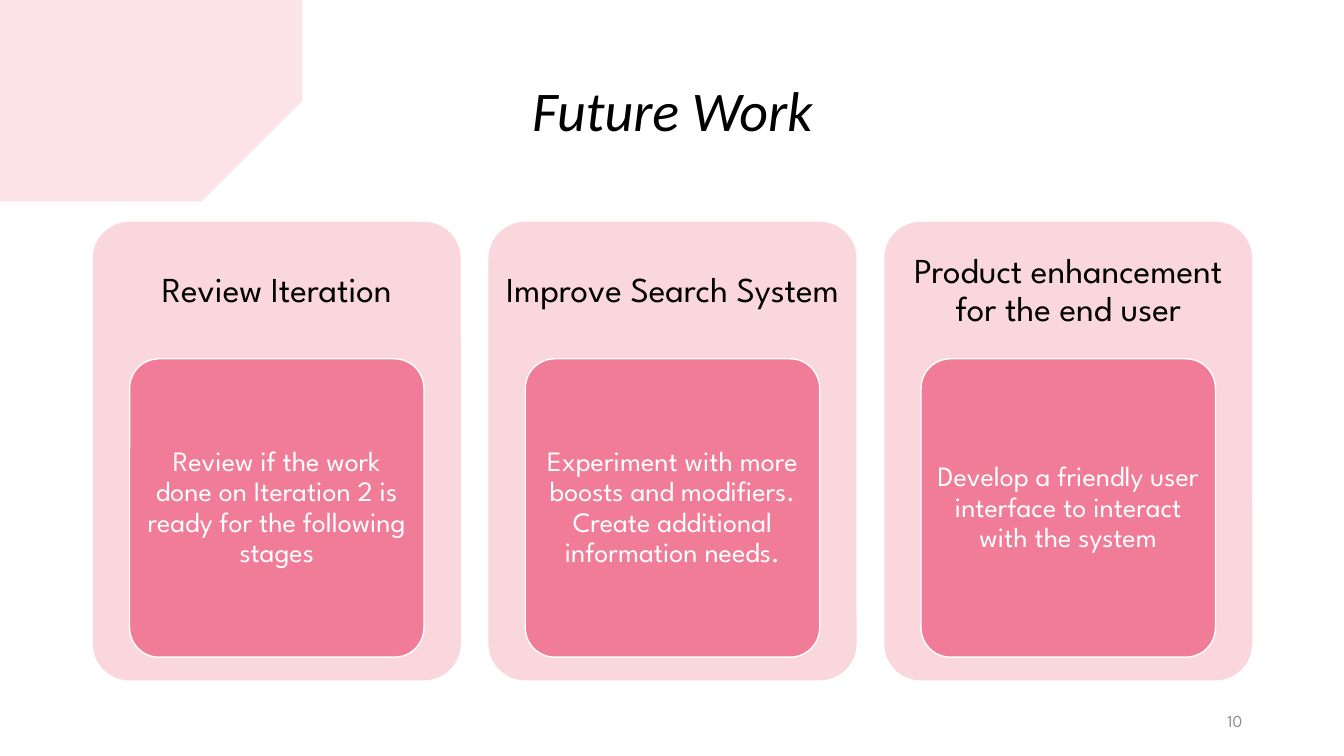
from lxml.etree import SubElement
from pptx import Presentation
from pptx.dml.color import RGBColor
from pptx.enum.shapes import MSO_SHAPE
from pptx.enum.text import MSO_ANCHOR, PP_ALIGN
from pptx.oxml.ns import qn
from pptx.util import Inches, Pt

ROSE = RGBColor(0xF0, 0x7C, 0x98)
BLUSH = RGBColor(0xF9, 0xD7, 0xDD)
WHITE = RGBColor(0xFF, 0xFF, 0xFF)
BLACK = RGBColor(0x00, 0x00, 0x00)
GREY = RGBColor(0x8C, 0x8C, 0x8C)
BODY_FONT = "League Spartan"


def write(shape, text, size, color, font=BODY_FONT, align=PP_ALIGN.CENTER,
          margins=(0.1, 0.05, 0.1, 0.05), spacing=0.9):
    frame = shape.text_frame
    frame.word_wrap = True
    frame.vertical_anchor = MSO_ANCHOR.MIDDLE
    (frame.margin_left, frame.margin_top,
     frame.margin_right, frame.margin_bottom) = map(Inches, margins)
    paragraph = frame.paragraphs[0]
    paragraph.text = text
    paragraph.alignment = align
    paragraph.line_spacing = spacing
    paragraph.font.name = font
    paragraph.font.size = Pt(size)
    paragraph.font.color.rgb = color
    return paragraph


def add_rounded(left, top, width, height, color):
    box = slide.shapes.add_shape(MSO_SHAPE.ROUNDED_RECTANGLE, Inches(left),
                                 Inches(top), Inches(width), Inches(height))
    box.adjustments[0] = 0.1
    box.shadow.inherit = False
    box.fill.solid()
    box.fill.fore_color.rgb = color
    box.line.fill.background()
    return box


deck = Presentation()
deck.slide_width, deck.slide_height = Inches(13.33), Inches(7.5)
slide = deck.slides.add_slide(deck.slide_layouts[6])

# Brush stroke in the top left corner
stroke_outline = [
    (0, 0.34), (0.06, 0.35), (0.25, 0.37), (0.66, 0.38), (1.02, 0.37),
    (1.51, 0.38), (1.94, 0.41), (2.48, 0.41), (2.66, 0.41), (2.8, 0.47),
    (2.71, 0.49), (2.55, 0.54), (2.53, 0.57), (2.56, 0.59), (2.62, 0.62),
    (2.46, 0.62), (2.38, 0.66), (2.46, 0.68), (2.56, 0.7), (2.66, 0.71),
    (2.75, 0.74), (2.51, 0.75), (2.63, 0.78), (2.73, 0.81), (2.8, 0.82),
    (2.88, 0.83), (2.9, 0.85), (2.87, 0.88), (2.84, 0.88), (2.63, 0.88),
    (2.85, 0.92), (3.3, 0.94), (3.21, 0.97), (3.22, 1.03), (3.18, 1.06),
    (3.11, 1.07), (3.07, 1.11), (3, 1.13), (2.83, 1.16), (2.8, 1.2),
    (2.78, 1.25), (2.74, 1.28), (2.95, 1.27), (3.08, 1.28), (2.89, 1.33),
    (2.69, 1.38), (2.73, 1.42), (2.52, 1.48), (2.63, 1.48), (2.35, 1.6),
    (1.97, 1.72), (1.5, 1.81), (1.02, 1.88), (0.65, 1.91), (0.23, 1.9),
    (0.07, 1.89), (0, 1.88),
]
pen = slide.shapes.build_freeform(*stroke_outline[0], scale=Inches(1))
pen.add_line_segments(stroke_outline[1:], close=True)
brush_stroke = pen.convert_to_shape()
brush_stroke.shadow.inherit = False
brush_stroke.line.fill.background()
brush_stroke.fill.solid()
brush_stroke.fill.fore_color.rgb = ROSE
stroke_color = brush_stroke.fill._xPr.find(qn("a:solidFill"))[0]
SubElement(stroke_color, qn("a:alpha"), val="20000")

# Title and slide number
title = slide.shapes.add_textbox(Inches(0.92), Inches(0.4), Inches(11.5), Inches(1.45))
write(title, "Future Work", 40, BLACK, font="Calibri").font.italic = True
page_number = slide.shapes.add_textbox(Inches(9.42), Inches(6.95), Inches(3), Inches(0.4))
write(page_number, "10", 12, GREY, align=PP_ALIGN.RIGHT, spacing=1.0)

# Three cards, each with a heading above an inner panel
plans = [
    ("Review Iteration",
     "Review if the work done on Iteration 2 is ready for the following stages"),
    ("Improve Search System",
     "Experiment with more boosts and modifiers. Create additional information needs."),
    ("Product enhancement for the end user",
     "Develop a friendly user interface to interact with the system"),
]
CARD_WIDTH, CARD_STEP = 3.65, 3.925
PANEL_WIDTH = 0.8 * CARD_WIDTH
for index, (heading, detail) in enumerate(plans):
    left = 0.92 + index * CARD_STEP
    card = add_rounded(left, 2.2, CARD_WIDTH, 4.55, BLUSH)
    write(card, heading, 25, BLACK, margins=(0, 0, 0, 3.18))
    panel = add_rounded(left + (CARD_WIDTH - PANEL_WIDTH) / 2, 3.56,
                        PANEL_WIDTH, 2.96, ROSE)
    panel.line.color.rgb = WHITE
    panel.line.width = Pt(1)
    write(panel, detail, 20, WHITE, margins=(0.06, 0.04, 0.06, 0.04))

deck.save("out.pptx")
